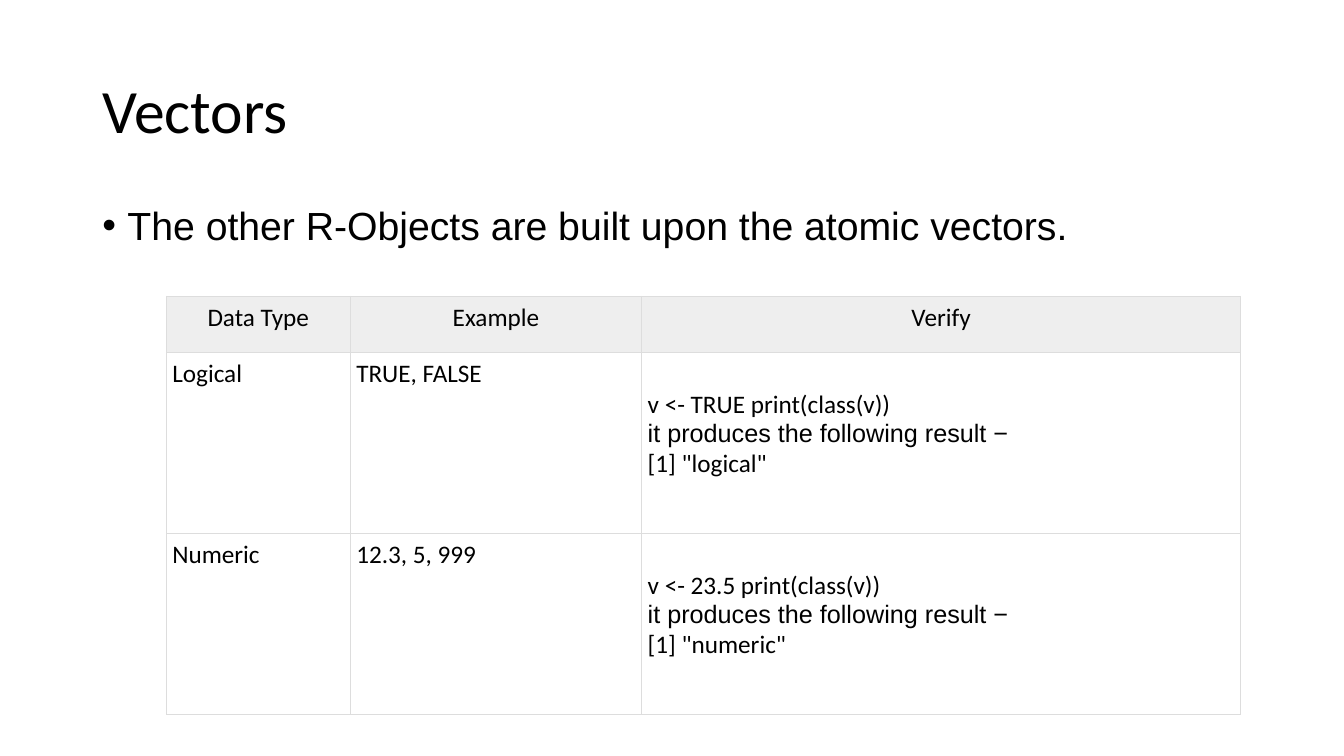
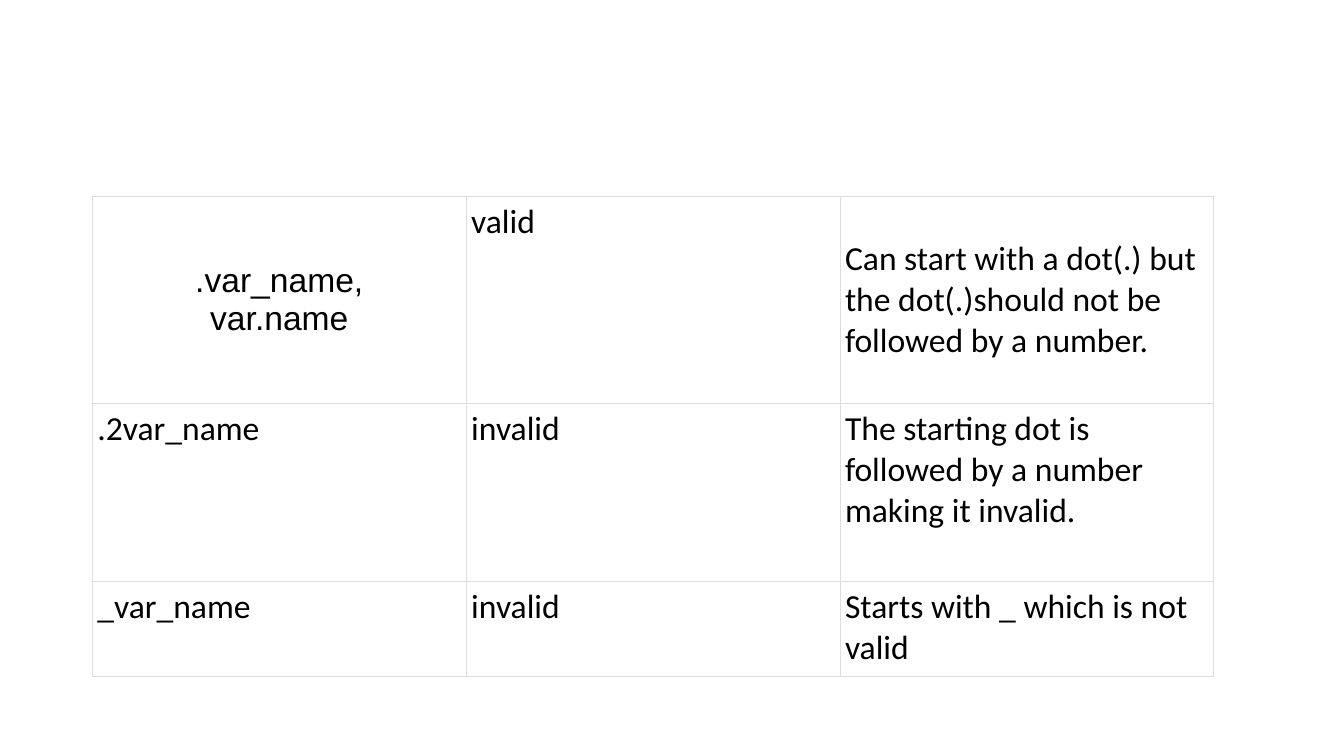
from dataclasses import dataclass

from lxml import etree
from pptx import Presentation, util as u
from pptx.dml.color import RGBColor
from pptx.enum import text as t
from pptx.oxml import ns

COLUMNS, ROWS = 160, 90
UNIT = u.Inches(1 / 12)
MARGIN, CONTENT_WIDTH = 11, 138

BLACK, HEADER_GRAY, BORDER_GRAY = "000000", "EEEEEE", "DDDDDD"
CALIBRI, ARIAL = "Calibri", "Arial"
TITLE_SIZE, BODY_SIZE = 44, 28
BORDER_WIDTH = 0.5
LEFT, CENTER, JUSTIFY = t.PP_ALIGN.LEFT, t.PP_ALIGN.CENTER, t.PP_ALIGN.JUSTIFY
TOP, MIDDLE = t.MSO_ANCHOR.TOP, t.MSO_ANCHOR.MIDDLE


@dataclass(frozen=True)
class Line:
    text: str
    font: str = CALIBRI
    align: t.PP_ALIGN = LEFT


@dataclass(frozen=True)
class Cell:
    lines: tuple[Line, ...]
    anchor: t.MSO_ANCHOR = TOP
    fill: str | None = None
    drop: float = 0  # extra space above the text, in grid units


@dataclass(frozen=True)
class Grid:
    """A table placed on the slide grid."""
    left: float
    top: float
    widths: tuple[float, ...]
    heights: tuple[float, ...]
    size: float
    inset: float
    rows: tuple[tuple[Cell, ...], ...]


def grid(units: float) -> u.Emu:
    return u.Emu(round(units * UNIT))


def color(value: str) -> RGBColor:
    return RGBColor.from_string(value)


def plain(text: str) -> Cell:
    return Cell((Line(text),))


def header(text: str) -> Cell:
    return Cell((Line(text, align=CENTER),), fill=HEADER_GRAY)


def check(value: str, kind: str) -> Cell:
    """Code that prints a value's class, with its result."""
    return Cell((
        Line(f"v <- {value} print(class(v))", align=JUSTIFY),
        Line("it produces the following result −", ARIAL, JUSTIFY),
        Line(f'[1] "{kind}"'),
    ), drop=3.6)


def write_lines(frame, lines: tuple[Line, ...], size: float) -> None:
    for index, line in enumerate(lines):
        paragraph = frame.add_paragraph() if index else frame.paragraphs[0]
        paragraph.alignment = line.align
        run = paragraph.add_run()
        run.text = line.text
        run.font.name = line.font
        run.font.size = u.Pt(size)
        run.font.color.rgb = color(BLACK)


def add_text(slide, top: float, height: float, line: Line, size: float, anchor: t.MSO_ANCHOR):
    box = slide.shapes.add_textbox(grid(MARGIN), grid(top), grid(CONTENT_WIDTH), grid(height))
    frame = box.text_frame
    frame.word_wrap = True
    frame.vertical_anchor = anchor
    write_lines(frame, (line,), size)
    paragraph = frame.paragraphs[0]
    paragraph.line_spacing = 0.9
    return paragraph


def add_title(slide, title: str) -> None:
    add_text(slide, 4.8, 17.4, Line(title), TITLE_SIZE, MIDDLE)


def add_bullet(slide, text: str) -> None:
    paragraph = add_text(slide, 24, 57, Line(text, ARIAL), BODY_SIZE, TOP)
    paragraph.space_before = u.Pt(10)
    properties = paragraph._p.get_or_add_pPr()
    properties.set("marL", str(u.Inches(0.25)))
    properties.set("indent", str(-u.Inches(0.25)))
    etree.SubElement(properties, ns.qn("a:buFont"), typeface=ARIAL)
    etree.SubElement(properties, ns.qn("a:buChar"), char="•")


def add_borders(cell) -> None:
    properties = cell._tc.get_or_add_tcPr()
    for side in ("lnL", "lnR", "lnT", "lnB"):
        border = etree.SubElement(properties, ns.qn(f"a:{side}"), w=str(u.Pt(BORDER_WIDTH)))
        fill = etree.SubElement(border, ns.qn("a:solidFill"))
        etree.SubElement(fill, ns.qn("a:srgbClr"), val=BORDER_GRAY)


def fill_cell(cell, content: Cell, size: float, inset: float) -> None:
    margin = u.Inches(inset)
    cell.margin_left = cell.margin_right = cell.margin_bottom = margin
    cell.margin_top = margin + grid(content.drop)
    cell.vertical_anchor = content.anchor
    add_borders(cell)
    if content.fill:
        cell.fill.solid()
        cell.fill.fore_color.rgb = color(content.fill)
    else:
        cell.fill.background()
    write_lines(cell.text_frame, content.lines, size)


def add_table(slide, layout: Grid) -> None:
    table = slide.shapes.add_table(
        len(layout.heights), len(layout.widths), grid(layout.left), grid(layout.top),
        grid(sum(layout.widths)), grid(sum(layout.heights))).table
    table.first_row = table.horz_banding = False
    for column, width in zip(table.columns, layout.widths):
        column.width = grid(width)
    for row, height, contents in zip(table.rows, layout.heights, layout.rows):
        row.height = grid(height)
        for cell, content in zip(row.cells, contents):
            fill_cell(cell, content, layout.size, layout.inset)


DATA_TYPES = Grid(
    left=19.8, top=35.25, widths=(21.9, 34.7, 71.3), heights=(6.75, 21.55, 21.55),
    size=18, inset=0.06,
    rows=(
        (header("Data Type"), header("Example"), header("Verify")),
        (plain("Logical"), plain("TRUE, FALSE"), check("TRUE", "logical")),
        (plain("Numeric"), plain("12.3, 5, 999"), check("23.5", "numeric")),
    ))

VARIABLE_NAMES = Grid(
    left=MARGIN, top=23.4, widths=(44.5,) * 3, heights=(24.6, 21.25, 11.25),
    size=24, inset=0.05,
    rows=(
        (Cell((Line(".var_name,", ARIAL, CENTER), Line("var.name", ARIAL, CENTER)), MIDDLE),
         plain("valid"),
         Cell((Line("Can start with a dot(.) but the dot(.)should not be "
                    "followed by a number."),), MIDDLE)),
        (plain(".2var_name"), plain("invalid"),
         plain("The starting dot is followed by a number making it invalid.")),
        (plain("_var_name"), plain("invalid"), plain("Starts with _ which is not valid")),
    ))


def main() -> None:
    presentation = Presentation()
    presentation.slide_width = grid(COLUMNS)
    presentation.slide_height = grid(ROWS)
    blank = presentation.slide_layouts[6]

    vectors = presentation.slides.add_slide(blank)
    add_title(vectors, "Vectors")
    add_bullet(vectors, "The other R-Objects are built upon the atomic vectors.")
    add_table(vectors, DATA_TYPES)

    names = presentation.slides.add_slide(blank)
    add_table(names, VARIABLE_NAMES)

    presentation.save("out.pptx")


if __name__ == "__main__":
    main()
